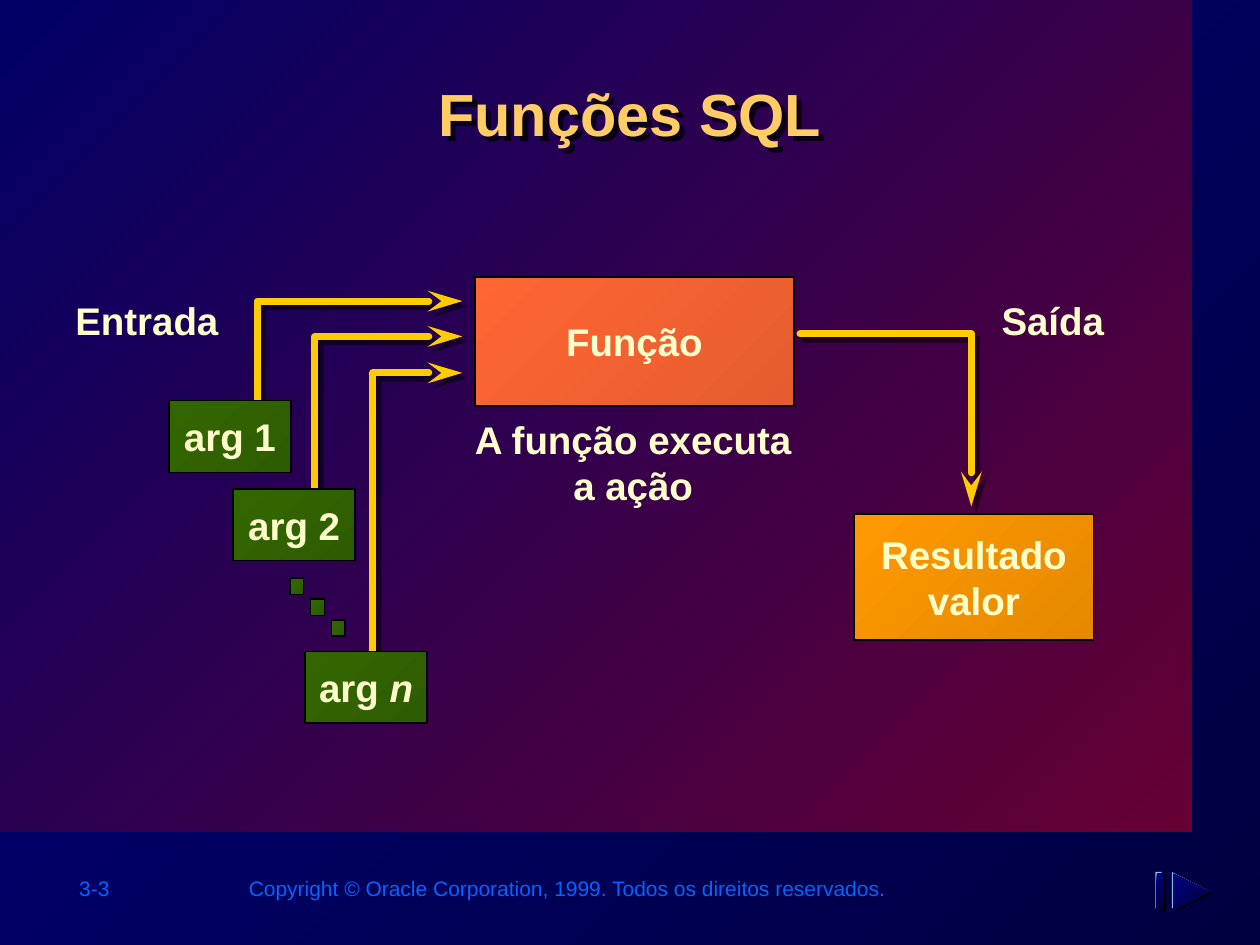
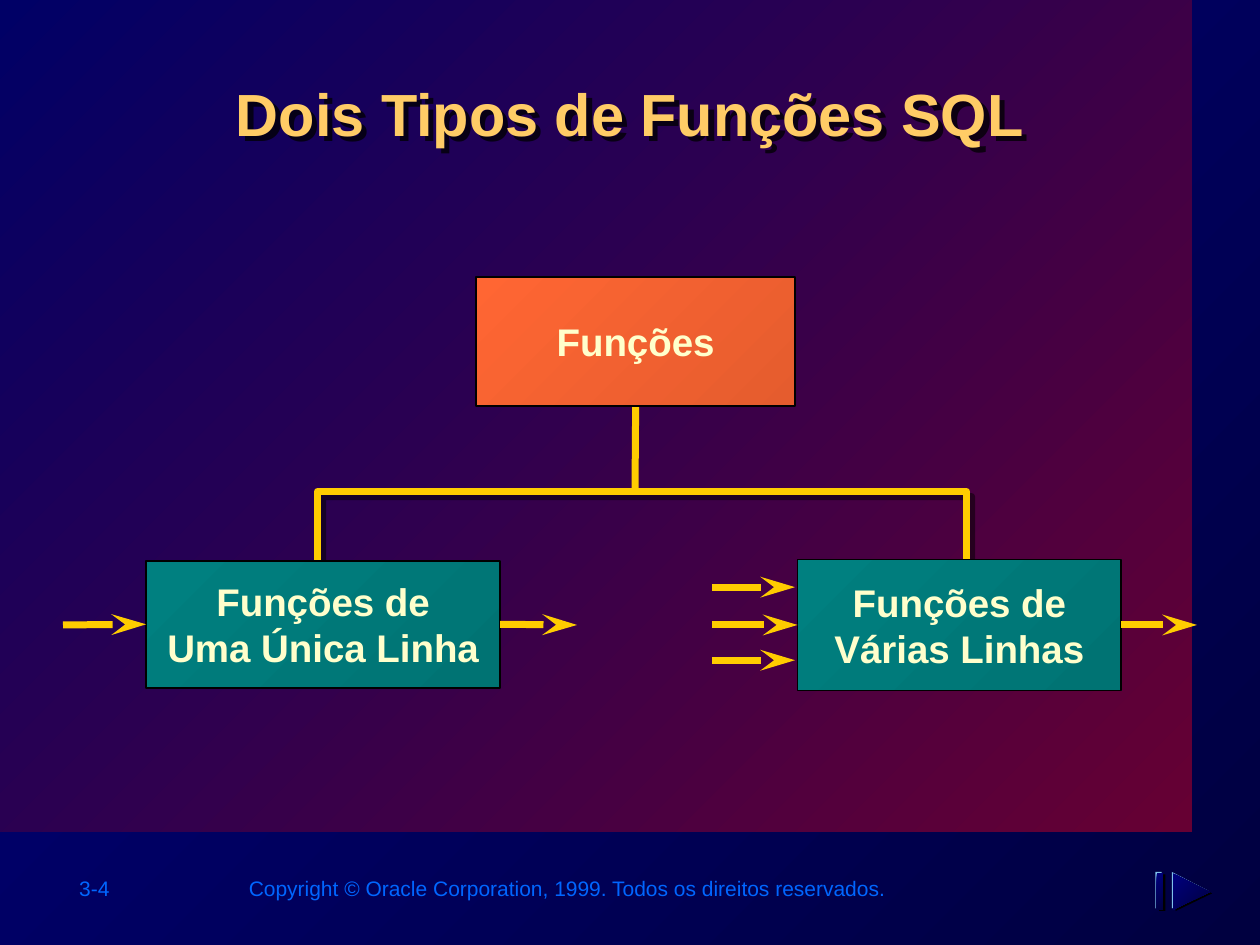
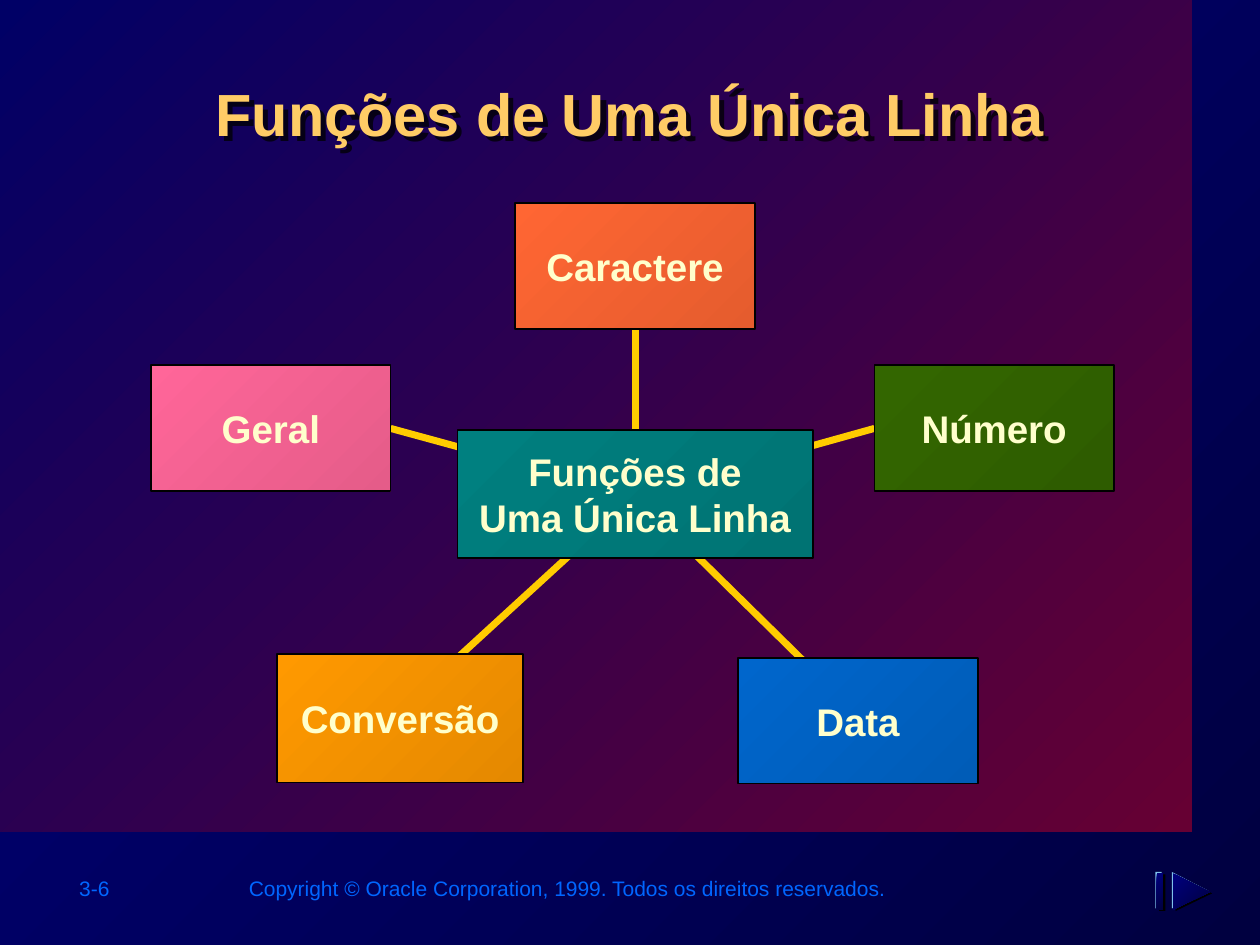
"""Build three slides on SQL functions: the call model, the two types and the single-row families."""
import dataclasses
import typing

import lxml.etree
import pptx
import pptx.dml.color
import pptx.enum.shapes
import pptx.enum.text
import pptx.oxml.ns
import pptx.util

Inches = pptx.util.Inches
Pt = pptx.util.Pt
qn = pptx.oxml.ns.qn
PP_ALIGN = pptx.enum.text.PP_ALIGN
MSO_ANCHOR = pptx.enum.text.MSO_ANCHOR
MSO_SHAPE = pptx.enum.shapes.MSO_SHAPE

FONT = "Arial"
BLACK, YELLOW, CREAM = "000000", "FFCC00", "FFFFCC"
TITLE_COLOR, FOOTER_COLOR, ICON_EDGE = "FFCC66", "0066FF", "7FC1EB"
COPYRIGHT = "Copyright © Oracle Corporation, 1999. Todos os direitos reservados."

Gradient = tuple[str, str]
Point = tuple[float, float]
BACKGROUND: Gradient = ("000080", "000040")
PANEL: Gradient = ("000066", "660033")
ORANGE: Gradient = ("FF6633", "E55C2E")
AMBER: Gradient = ("FF9900", "E58900")
GREEN: Gradient = ("336600", "2E5C00")
TEAL: Gradient = ("008080", "007373")
BLUE: Gradient = ("0066CC", "005CB7")
PINK: Gradient = ("FF6699", "E55C89")


@dataclasses.dataclass
class Box:
    text: str
    left: float
    top: float
    width: float
    height: float
    colors: Gradient


@dataclasses.dataclass
class Label:
    text: str
    left: float
    top: float
    width: float
    height: float
    size: float = 22
    color: str = CREAM
    bold: bool = True
    align: typing.Any = PP_ALIGN.LEFT
    wrap: bool = False


def rgb(color: str) -> pptx.dml.color.RGBColor:
    return pptx.dml.color.RGBColor.from_string(color)


def fill_gradient(fill: typing.Any, colors: Gradient) -> None:
    fill.gradient()
    fill.gradient_angle = 315
    for stop, color in zip(fill.gradient_stops, colors):
        stop.color.rgb = rgb(color)


def fill_with(sp: typing.Any, paint: str | Gradient) -> None:
    if isinstance(paint, str):
        sp.fill.solid()
        sp.fill.fore_color.rgb = rgb(paint)
    else:
        fill_gradient(sp.fill, paint)


def format_text(tf: typing.Any, size: float, color: str, bold: bool, align: typing.Any) -> None:
    for p in tf.paragraphs:
        p.alignment = align
        for r in p.runs:
            r.font.name = FONT
            r.font.size = Pt(size)
            r.font.bold = bold
            r.font.color.rgb = rgb(color)


def add_shadow(effects: typing.Any, alpha: int) -> None:
    shadow = lxml.etree.SubElement(effects, qn("a:outerShdw"), blurRad="0", dist=str(Pt(4.2)),
                                   dir="2700000", algn="ctr", rotWithShape="0")
    color = lxml.etree.SubElement(shadow, qn("a:srgbClr"), val=BLACK)
    lxml.etree.SubElement(color, qn("a:alpha"), val=str(alpha * 1000))


def style_line(sp: typing.Any, arrow: bool, rounded: bool = False) -> None:
    sp.line.color.rgb = rgb(YELLOW)
    sp.line.width = Pt(4)
    ln = sp.element.spPr.find(qn("a:ln"))
    if rounded:
        ln.set("cap", "rnd")
        lxml.etree.SubElement(ln, qn("a:round"))
    if arrow:
        lxml.etree.SubElement(ln, qn("a:tailEnd"), type="stealth", w="med", len="lg")
    effects = lxml.etree.SubElement(sp.element.spPr, qn("a:effectLst"))
    if rounded:
        add_shadow(effects, 50)


def add_rect(s: typing.Any, left: float, top: float, width: float, height: float,
             paint: str | Gradient, outlined: bool = False) -> typing.Any:
    sp = s.shapes.add_shape(MSO_SHAPE.RECTANGLE, Inches(left), Inches(top), Inches(width), Inches(height))
    sp.shadow.inherit = False
    fill_with(sp, paint)
    if outlined:
        sp.line.color.rgb = rgb(BLACK)
        sp.line.width = Pt(1)
    else:
        sp.line.fill.background()
    return sp


def add_box(s: typing.Any, box: Box) -> typing.Any:
    sp = add_rect(s, box.left, box.top, box.width, box.height, box.colors, outlined=True)
    tf = sp.text_frame
    tf.word_wrap = False
    tf.vertical_anchor = MSO_ANCHOR.MIDDLE
    tf.text = box.text
    format_text(tf, 22, CREAM, True, PP_ALIGN.CENTER)
    return sp


def add_label(s: typing.Any, label: Label) -> None:
    sp = s.shapes.add_textbox(Inches(label.left), Inches(label.top), Inches(label.width), Inches(label.height))
    tf = sp.text_frame
    tf.word_wrap = label.wrap
    tf.text = label.text
    format_text(tf, label.size, label.color, label.bold, label.align)


def add_outline(s: typing.Any, points: list[Point], close: bool) -> typing.Any:
    (x, y), *rest = [(Inches(px), Inches(py)) for px, py in points]
    builder = s.shapes.build_freeform(x, y)
    builder.add_line_segments(rest, close=close)
    return builder.convert_to_shape()


def add_bent_line(s: typing.Any, points: list[Point], arrow: bool = True) -> None:
    sp = add_outline(s, points, close=False)
    sp.fill.background()
    style_line(sp, arrow, rounded=True)


def add_line(s: typing.Any, start: Point, end: Point, arrow: bool = False) -> typing.Any:
    line = s.shapes.add_connector(pptx.enum.shapes.MSO_CONNECTOR.STRAIGHT, *map(Inches, start + end))
    style_line(line, arrow)
    return line


def add_next_icon(s: typing.Any) -> None:
    layers = [(0.03, 0.02, BLACK), (0, 0, ICON_EDGE), (0.01, 0.01, BACKGROUND)]
    for dx, dy, paint in layers:
        add_rect(s, 9.17 + dx, 6.92 + dy, 0.05, 0.29, paint)
    for dx, dy, paint in layers:
        left, top = 9.3 + dx, 6.92 + dy
        sp = add_outline(s, [(left + 0.29, top + 0.15), (left, top), (left, top + 0.29)], close=True)
        sp.shadow.inherit = False
        fill_with(sp, paint)
        sp.line.fill.background()


def add_slide(prs: typing.Any, title: str, number: str) -> typing.Any:
    s = prs.slides.add_slide(prs.slide_layouts[5])
    sp = s.shapes.title
    sp.element.addprevious(add_rect(s, 0, 0, 9.46, 6.6, PANEL).element)
    sp.left, sp.top, sp.width, sp.height = map(Inches, (1.01, 0.56, 7.98, 0.96))
    tf = sp.text_frame
    tf.text = title
    tf.vertical_anchor = MSO_ANCHOR.TOP
    tf.auto_size = pptx.enum.text.MSO_AUTO_SIZE.NONE
    format_text(tf, 34, TITLE_COLOR, True, PP_ALIGN.CENTER)
    sp.shadow.inherit = False
    add_shadow(sp.element.spPr.find(qn("a:effectLst")), 75)
    add_label(s, Label(number, 0.53, 6.9, 1.11, 0.3, 12, FOOTER_COLOR, False))
    add_label(s, Label(COPYRIGHT, 1.84, 6.9, 5.29, 0.3, 12, FOOTER_COLOR, False, PP_ALIGN.RIGHT))
    add_next_icon(s)
    return s


def build_call_model(prs: typing.Any) -> None:
    s = add_slide(prs, "Funções SQL", "3-3")
    add_box(s, Box("Função", 3.77, 2.2, 2.53, 1.02, ORANGE))
    for x, bottom, y in [(2.04, 3.35, 2.39), (2.96, 5.23, 2.96), (2.5, 3.96, 2.67)]:
        add_bent_line(s, [(x, bottom), (x, y), (3.67, y)])
    for text, left, top in [("arg 1", 1.34, 3.18), ("arg 2", 1.85, 3.88), ("arg ", 2.42, 5.17)]:
        arg = add_box(s, Box(text, left, top, 0.97, 0.57, GREEN))
    r = arg.text_frame.paragraphs[0].add_run()
    r.text = "n"
    format_text(arg.text_frame, 22, CREAM, True, PP_ALIGN.CENTER)
    r.font.italic = True
    for i in range(3):
        add_rect(s, 2.3 + 0.165 * i, 4.59 + 0.165 * i, 0.11, 0.13, GREEN, outlined=True)
    add_bent_line(s, [(6.35, 2.65), (7.71, 2.65), (7.71, 4.02)])
    add_box(s, Box("Resultado\nvalor", 6.78, 4.08, 1.9, 1, AMBER))
    for label in [
        Label("Entrada", 0.5, 2.31, 1.34, 0.47),
        Label("Saída", 7.85, 2.31, 1.02, 0.47),
        Label("A função executa a ação", 3.6, 3.25, 2.85, 0.83, align=PP_ALIGN.CENTER, wrap=True),
    ]:
        add_label(s, label)


def build_two_types(prs: typing.Any) -> None:
    s = add_slide(prs, "Dois Tipos de Funções SQL", "3-4")
    stem = add_line(s, (5.04, 3.89), (5.04, 3.22))
    add_bent_line(s, [(2.52, 4.44), (2.52, 3.9), (7.67, 3.9), (7.67, 4.48)], arrow=False)
    root = add_box(s, Box("Funções", 3.78, 2.2, 2.53, 1.02, ORANGE))
    multi = add_box(s, Box("Funções de\nVárias Linhas", 6.33, 4.44, 2.57, 1.04, TEAL))
    single = add_box(s, Box("Funções de\nUma Única Linha", 1.16, 4.45, 2.81, 1.01, TEAL))
    stem.end_connect(root, 2)
    for box, start, end in [(single, 0.5, 4.58), (multi, 5.65, 9.5)]:
        add_line(s, (start, 4.96), (start + 0.66, 4.96), arrow=True).end_connect(box, 1)
        add_line(s, (end - 0.66, 4.96), (end, 4.96), arrow=True).begin_connect(box, 3)
    for y in (4.66, 5.24):
        add_line(s, (5.65, y), (6.31, y), arrow=True)


def build_single_row(prs: typing.Any) -> None:
    s = add_slide(prs, "Funções de Uma Única Linha", "3-6")
    center = (5.04, 3.93)
    ends = [(5.04, 2.61), (3.1, 3.4), (6.94, 3.4), (3.13, 5.68), (6.87, 5.73)]
    links = [add_line(s, center, end) for end in ends]
    families = [add_box(s, box) for box in [
        Box("Caractere", 4.09, 1.61, 1.9, 1, ORANGE),
        Box("Geral", 1.2, 2.9, 1.9, 1, PINK),
        Box("Número", 6.94, 2.9, 1.9, 1, GREEN),
        Box("Conversão", 2.2, 5.19, 1.95, 1.02, AMBER),
        Box("Data", 5.86, 5.22, 1.9, 1, BLUE),
    ]]
    for link, family, site in zip(links, families, (2, 3, 1)):
        link.end_connect(family, site)
    add_box(s, Box("Funções de\nUma Única Linha", 3.63, 3.41, 2.82, 1.02, TEAL))


def main() -> None:
    prs = pptx.Presentation()
    prs.slide_width, prs.slide_height = Inches(10), Inches(7.5)
    fill_gradient(prs.slide_master.background.fill, BACKGROUND)
    build_call_model(prs)
    build_two_types(prs)
    build_single_row(prs)
    prs.save("out.pptx")


if __name__ == "__main__":
    main()
